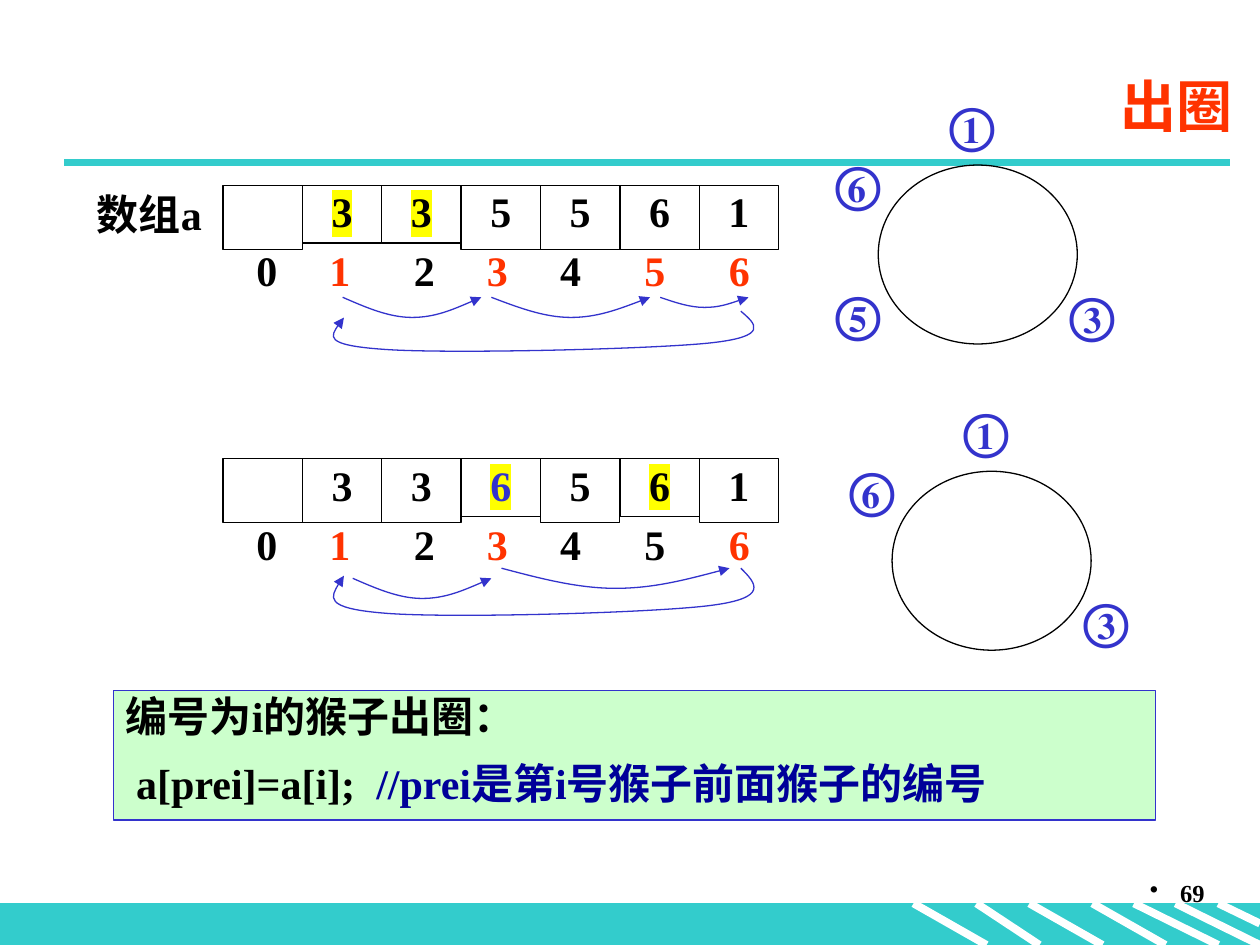
from dataclasses import dataclass

from lxml.etree import SubElement
from pptx import Presentation
from pptx.dml.color import RGBColor
from pptx.enum.shapes import MSO_CONNECTOR, MSO_SHAPE
from pptx.enum.text import MSO_ANCHOR, PP_ALIGN
from pptx.oxml.ns import qn
from pptx.util import Inches, Pt


@dataclass(frozen=True)
class Theme:
    font: str = "Times New Roman"
    teal: str = "33CCCC"
    blue: str = "3333CC"
    navy: str = "000099"
    red: str = "FF3300"
    green: str = "CCFFCC"
    yellow: str = "FFFF00"
    black: str = "000000"
    white: str = "FFFFFF"
    title: int = 32
    ring: int = 28
    body: int = 24
    number: int = 14
    thin: float = 0.75
    thick: float = 4.5


THEME = Theme()
CELL_LEFT, CELL_WIDTH, CELL_HEIGHT, MARKED_HEIGHT = 1.77, 0.63, 0.51, 0.46
INDEX_TABS = (0.25, 0.83, 1.5, 2.08, 2.66, 3.33, 4)
RING_PLACES = {"①": (0.47, -0.56), "③": (1.42, 0.95),
               "⑤": (-0.44, 0.94), "⑥": (-0.44, -0.09)}


def rgb(color):
    return RGBColor.from_string(color)


# Text
def add_span(para, text, color=THEME.black, size=THEME.body, highlight=None):
    span = para.add_run()
    span.text = text
    span.font.size, span.font.bold = Pt(size), True
    span.font.color.rgb = rgb(color)
    if highlight:
        mark = SubElement(span.font._element, qn("a:highlight"))
        SubElement(mark, qn("a:srgbClr"), val=highlight)
    span.font.name = THEME.font


def write(box, text, align=PP_ALIGN.LEFT, anchor=MSO_ANCHOR.TOP, wrap=True,
          spacing=0.9, **span_format):
    frame = box.text_frame
    frame.word_wrap, frame.vertical_anchor = wrap, anchor
    para = frame.paragraphs[0]
    para.alignment, para.line_spacing = align, spacing
    add_span(para, text, **span_format)
    return para


def add_text(page, place, text, **text_format):
    box = page.shapes.add_textbox(*map(Inches, place))
    return write(box, text, **text_format)


# Shapes and lines
def add_box(page, place, kind=MSO_SHAPE.RECTANGLE, fill=None, line=THEME.black):
    box = page.shapes.add_shape(kind, *map(Inches, place))
    box.shadow.inherit = False
    if fill:
        box.fill.solid()
        box.fill.fore_color.rgb = rgb(fill)
    else:
        box.fill.background()
    box.line.color.rgb, box.line.width = rgb(line), Pt(THEME.thin)
    return box


def add_line(page, start, end, color):
    line = page.shapes.add_connector(MSO_CONNECTOR.STRAIGHT,
                                     *map(Inches, start + end))
    line.line.color.rgb, line.line.width = rgb(color), Pt(THEME.thick)
    SubElement(line._element.spPr, qn("a:effectLst"))


def add_curve(page, points):
    """Draw a start point followed by cubic segments of three points each."""
    builder = page.shapes.build_freeform(
        Inches(points[0][0]), Inches(points[0][1]))
    builder.add_line_segments(
        [(Inches(x), Inches(y)) for x, y in points[1:]], close=False)
    curve = builder.convert_to_shape()
    curve.shadow.inherit = False
    curve.fill.background()
    curve.line.color.rgb, curve.line.width = rgb(THEME.blue), Pt(THEME.thin)
    # Join every three straight segments into one cubic segment
    steps = list(curve._element.iter(qn("a:lnTo")))
    for first in range(0, len(steps), 3):
        cubic = SubElement(steps[first].getparent(), qn("a:cubicBezTo"))
        for step in steps[first:first + 3]:
            cubic.append(step[0])
            step.getparent().remove(step)
    SubElement(curve.line._get_or_add_ln(), qn("a:tailEnd"), type="triangle")


def add_dip(page, left, right, top, depth=0.16):
    drops = (0, 0.5, 1, 1, 1, 0.5, 0)
    add_curve(page, [(left + (right - left) * i / 6, top + depth * drop)
                     for i, drop in enumerate(drops)])


def add_return(page, top, depth):
    across = (5.88, 6, 6.11, 5.64, 5.17, 3.53, 3.04, 2.56, 2.64, 2.73)
    drops = (0, 0.3, 0.59, 0.74, 0.89, 1, 0.89, 0.79, 0.47, 0.15)
    add_curve(page, [(x, top + depth * drop) for x, drop in zip(across, drops)])


# Array with its indices
def add_array(page, top, values, marked, alive, colors):
    for i, value in enumerate(values):
        height = MARKED_HEIGHT if i in marked else CELL_HEIGHT
        cell = add_box(page, (CELL_LEFT + i * CELL_WIDTH, top, CELL_WIDTH, height))
        if value:
            write(cell, value, align=PP_ALIGN.CENTER,
                  color=colors.get(i, THEME.black),
                  highlight=THEME.yellow if i in marked else None)
    box = page.shapes.add_textbox(
        *map(Inches, (CELL_LEFT, top + 0.47, 4.57, 0.5)))
    box.text_frame.word_wrap = True
    para = box.text_frame.paragraphs[0]
    para.line_spacing = 0.9
    tabs = SubElement(para._p.get_or_add_pPr(), qn("a:tabLst"))
    for position in INDEX_TABS:
        SubElement(tabs, qn("a:tab"), pos=str(Inches(position)), algn="ctr")
    for i in range(len(values)):
        add_span(para, f"\t{i}", color=THEME.red if i in alive else THEME.black)


# Ring of monkeys
def add_ring(page, left, top, members):
    add_box(page, (left, top, 1.58, 1.42), kind=MSO_SHAPE.OVAL)
    for member in members:
        x, y = RING_PLACES[member]
        add_text(page, (left + x, top + y, 0.59, 0.57), member, wrap=False,
                 size=THEME.ring, color=THEME.blue)


def add_frame(page):
    add_box(page, (0, 7.17, 10, 0.33), fill=THEME.teal, line=THEME.teal)
    stripes = ((7.25, 7.83), (7.75, 8.25), (8.17, 8.75), (8.67, 9.25), (9, 9.67),
               (9.33, 10))
    for start, end in stripes:
        add_line(page, (start, 7.17), (end, 7.5), THEME.white)
    add_line(page, (9.67, 7.17), (10, 7.33), THEME.white)
    add_line(page, (0.51, 1.29), (9.76, 1.29), THEME.teal)
    para = add_text(page, (7.58, 6.92, 2.08, 0.5), "69", align=PP_ALIGN.RIGHT,
                    spacing=1, size=THEME.number)
    properties = para._p.get_or_add_pPr()
    properties.set("marL", str(Inches(0.24)))
    properties.set("indent", str(-Inches(0.24)))
    SubElement(properties, qn("a:buChar"), char="•")


def add_note(page):
    box = add_box(page, (0.9, 5.48, 8.27, 1.03), fill=THEME.green, line=THEME.blue)
    write(box, "编号为i的猴子出圈：")
    para = box.text_frame.add_paragraph()
    para.alignment, para.line_spacing = PP_ALIGN.LEFT, 0.9
    para.space_before = Pt(THEME.body / 2)
    add_span(para, " a[prei]=a[i];  ")
    add_span(para, "//prei是第i号猴子前面猴子的编号", color=THEME.navy)


def main():
    deck = Presentation()
    deck.slide_width, deck.slide_height = Inches(10), Inches(7.5)
    page = deck.slides.add_slide(deck.slide_layouts[6])

    add_frame(page)
    add_text(page, (1.38, 0.44, 8.5, 0.79), "出圈", align=PP_ALIGN.RIGHT,
             anchor=MSO_ANCHOR.MIDDLE, spacing=1, size=THEME.title,
             color=THEME.red)
    add_note(page)
    add_ring(page, 6.97, 1.31, "①③⑤⑥")
    add_ring(page, 7.08, 3.74, "①③⑥")

    # Before monkey 5 leaves
    add_text(page, (0.67, 1.49, 1.1, 0.5), "数组a")
    add_array(page, 1.47, ("", *"335561"), {1, 2}, {1, 3, 5, 6}, {})
    add_return(page, 2.47, 0.34)
    add_dip(page, 2.72, 3.82, 2.36)
    add_dip(page, 3.9, 5.16, 2.36)
    add_dip(page, 5.24, 5.94, 2.36, depth=0.08)

    # After monkey 5 has left
    add_array(page, 3.64, ("", *"336561"), {3, 5}, {1, 3, 6}, {3: THEME.blue})
    add_dip(page, 2.8, 3.9, 4.59)
    add_dip(page, 3.98, 5.79, 4.51)
    add_return(page, 4.51, 0.4)

    deck.save("out.pptx")


if __name__ == "__main__":
    main()
